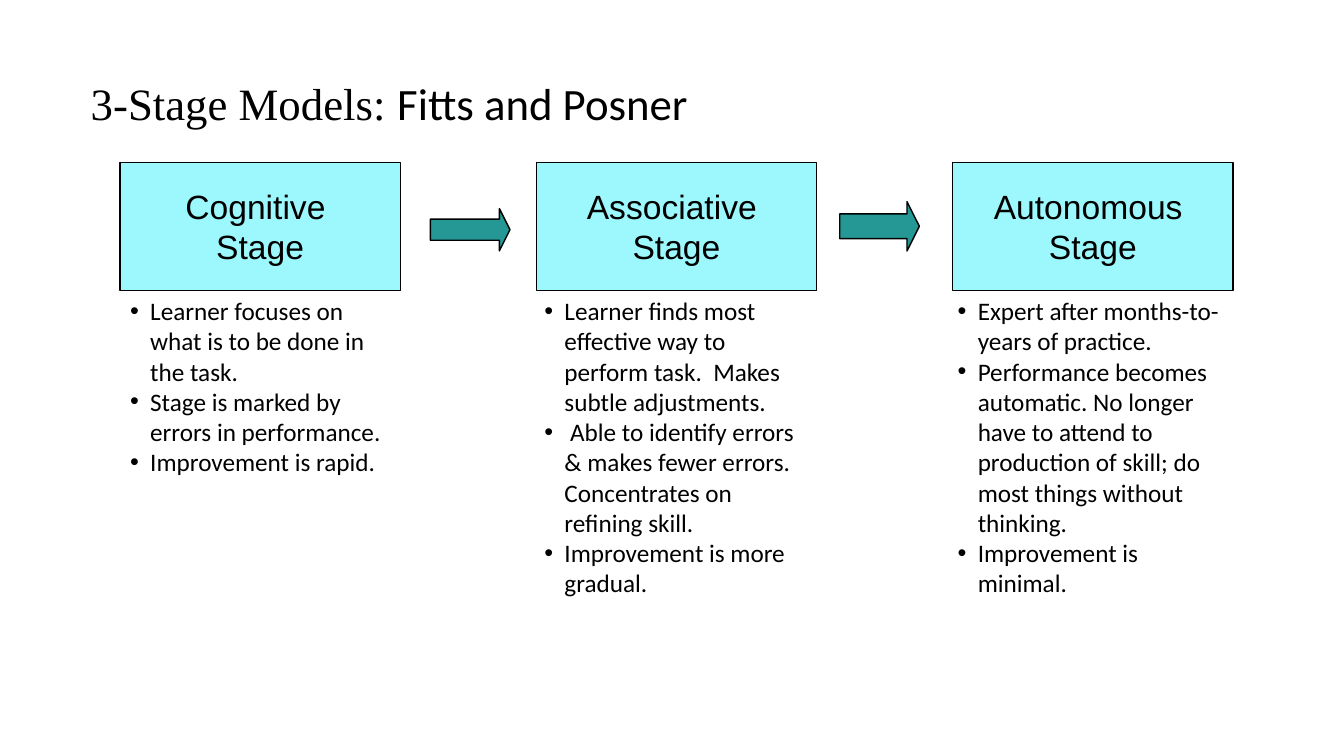
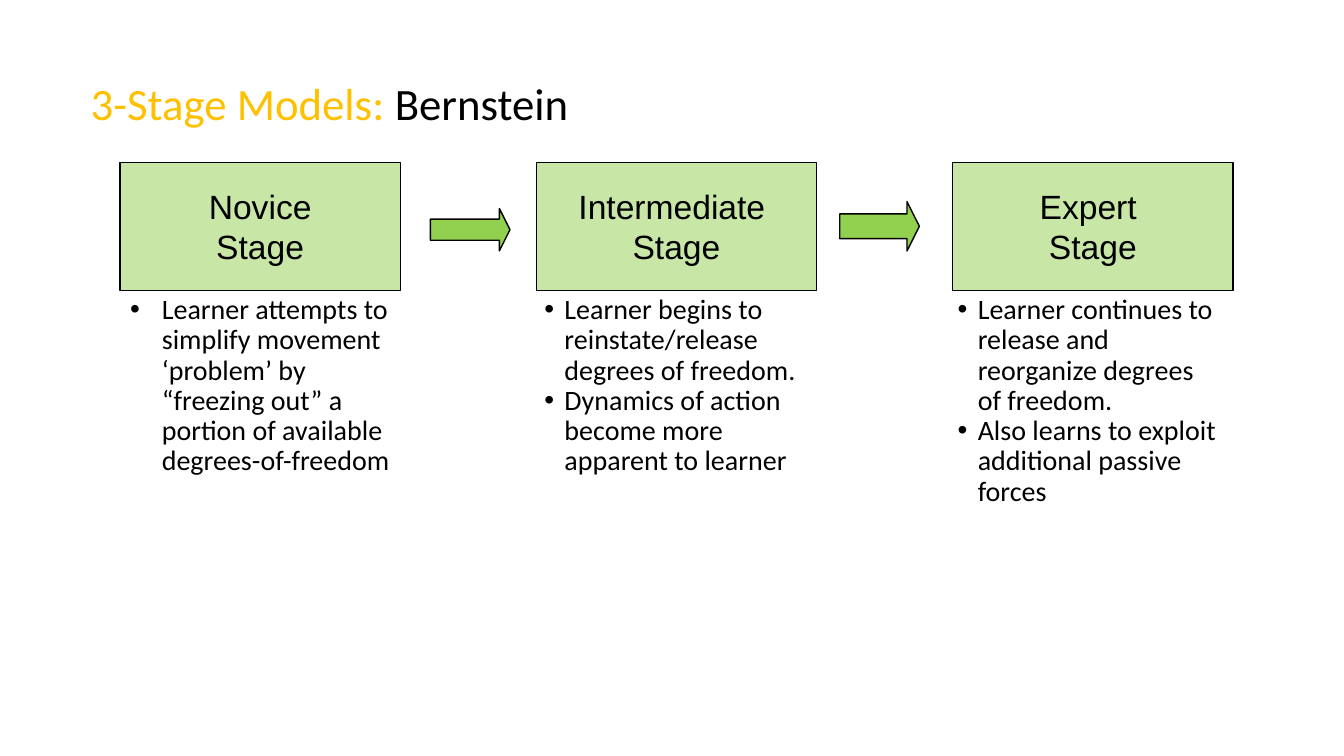
"""Build two slides that compare three-stage models of motor learning."""
import pptx
import pptx.util
import pptx.dml.color
import pptx.enum.shapes
import pptx.enum.text
import pptx.oxml
import pptx.oxml.ns

Pt = pptx.util.Pt
RGBColor = pptx.dml.color.RGBColor
MSO_SHAPE = pptx.enum.shapes.MSO_SHAPE
MSO_ANCHOR = pptx.enum.text.MSO_ANCHOR
PP_ALIGN = pptx.enum.text.PP_ALIGN

BLACK = RGBColor(0x00, 0x00, 0x00)
AMBER = RGBColor(0xFF, 0xC0, 0x00)
CYAN = RGBColor(0x3D, 0xF3, 0xFD)
TEAL = RGBColor(0x25, 0x97, 0x94)
GREEN = RGBColor(0x92, 0xD0, 0x50)

BOX_LEFT, BOX_STEP, BOX_TOP, BOX_WIDTH, BOX_HEIGHT = 85.7, 297.4, 116, 200.2, 91.4
ARROWS = [(307.4, 149, 30.2), (599.8, 144, 35.3)]
ARROW_WIDTH = 56.9
LISTS = [(85.7, 201.6), (381.6, 200.2), (676.8, 203.8)]
LIST_TOP = 207.4

SLIDES = [
    {
        "title": [("3-Stage Models: ", "Times New Roman", BLACK), ("Fitts and Posner", "Calibri", BLACK)],
        "box": CYAN, "arrow": TEAL, "size": 18, "line_spacing": 1.0, "height": 225.4,
        "stages": [
            ("Cognitive ", 14.4, [
                "Learner focuses on what is to be done in the task.",
                "Stage is marked by errors in performance.",
                "Improvement is rapid.",
            ]),
            ("Associative ", 14.4, [
                "Learner finds most effective way to perform task.  Makes subtle adjustments.",
                " Able to identify errors & makes fewer errors. Concentrates on refining skill.",
                "Improvement is more gradual.",
            ]),
            ("Autonomous ", 14.4, [
                "Expert after months-to-years of practice.",
                "Performance becomes automatic. No longer have to attend to production of skill; "
                "do most things without thinking.",
                "Improvement is minimal.",
            ]),
        ],
    },
    {
        "title": [("3-Stage Models: ", "Calibri", AMBER), ("Bernstein", "Calibri", BLACK)],
        "box": GREEN, "arrow": GREEN, "size": 20, "line_spacing": 0.9, "height": 160,
        "stages": [
            ("Novice", 22.7, [
                "Learner attempts to simplify movement ‘problem’ by “freezing out” "
                "a portion of available degrees-of-freedom",
            ]),
            ("Intermediate ", 14.4, [
                "Learner begins to reinstate/release degrees of freedom.",
                "Dynamics of action become more apparent to learner",
            ]),
            ("Expert ", 14.4, [
                "Learner continues to release and reorganize degrees of freedom.",
                "Also learns to exploit additional passive forces",
            ]),
        ],
    },
]


def add_run(paragraph, text, font_name, size, color=BLACK):
    run = paragraph.add_run()
    run.text = text
    run.font.name = font_name
    run.font.size = Pt(size)
    run.font.bold = False
    run.font.color.rgb = color


def add_outlined_shape(slide, kind, left, top, width, height, color):
    shape = slide.shapes.add_shape(kind, Pt(left), Pt(top), Pt(width), Pt(height))
    shape.shadow.inherit = False
    shape.fill.solid()
    shape.fill.fore_color.rgb = color
    shape.line.color.rgb = BLACK
    shape.line.width = Pt(1)
    return shape


presentation = pptx.Presentation()
presentation.slide_width = Pt(960)
presentation.slide_height = Pt(540)
comparison_layout = presentation.slide_layouts.get_by_name("Comparison")

for content in SLIDES:
    slide = presentation.slides.add_slide(comparison_layout)
    title, *bodies, spare = slide.placeholders
    spare.element.getparent().remove(spare.element)

    title.left, title.top, title.width, title.height = Pt(57.6), Pt(50.4), Pt(851), Pt(46)
    title.text_frame.auto_size = pptx.enum.text.MSO_AUTO_SIZE.NONE
    title.text_frame.vertical_anchor = MSO_ANCHOR.TOP
    paragraph = title.text_frame.paragraphs[0]
    paragraph.alignment = PP_ALIGN.LEFT
    for text, font_name, color in content["title"]:
        add_run(paragraph, text, font_name, 32, color)

    for column, (stage, indent, points) in enumerate(content["stages"]):
        box = add_outlined_shape(slide, MSO_SHAPE.RECTANGLE, BOX_LEFT + column * BOX_STEP,
                                 BOX_TOP, BOX_WIDTH, BOX_HEIGHT, content["box"])
        fill_color = box.element.spPr.find(".//" + pptx.oxml.ns.qn("a:srgbClr"))
        fill_color.append(pptx.oxml.parse_xml(
            f'<a:alpha {pptx.oxml.ns.nsdecls("a")} val="50000"/>'))
        frame = box.text_frame
        frame.word_wrap = False
        frame.vertical_anchor = MSO_ANCHOR.MIDDLE
        for number, text in enumerate([stage, "Stage"]):
            paragraph = frame.add_paragraph() if number else frame.paragraphs[0]
            paragraph.alignment = PP_ALIGN.CENTER
            add_run(paragraph, text, "Arial", 24)

        body = bodies[column]
        left, width = LISTS[column]
        body.left, body.top, body.width, body.height = Pt(left), Pt(LIST_TOP), Pt(width), Pt(content["height"])
        frame = body.text_frame
        frame.auto_size = pptx.enum.text.MSO_AUTO_SIZE.NONE
        frame.vertical_anchor = MSO_ANCHOR.TOP
        for number, text in enumerate(points):
            paragraph = frame.add_paragraph() if number else frame.paragraphs[0]
            properties = paragraph._p.get_or_add_pPr()
            properties.set("marL", str(Pt(indent)))
            properties.set("indent", str(-Pt(indent)))
            for bullet in ('buFont {} typeface="Arial"', 'buChar {} char="•"'):
                properties.append(pptx.oxml.parse_xml(
                    "<a:" + bullet.format(pptx.oxml.ns.nsdecls("a")) + "/>"))
            paragraph.alignment = PP_ALIGN.LEFT
            paragraph.space_before = Pt(0)
            paragraph.line_spacing = content["line_spacing"]
            add_run(paragraph, text, "Calibri", content["size"])

    for left, top, height in ARROWS:
        arrow = add_outlined_shape(slide, MSO_SHAPE.RIGHT_ARROW, left, top, ARROW_WIDTH, height, content["arrow"])
        arrow.adjustments[1] = 0.25

presentation.save("out.pptx")
